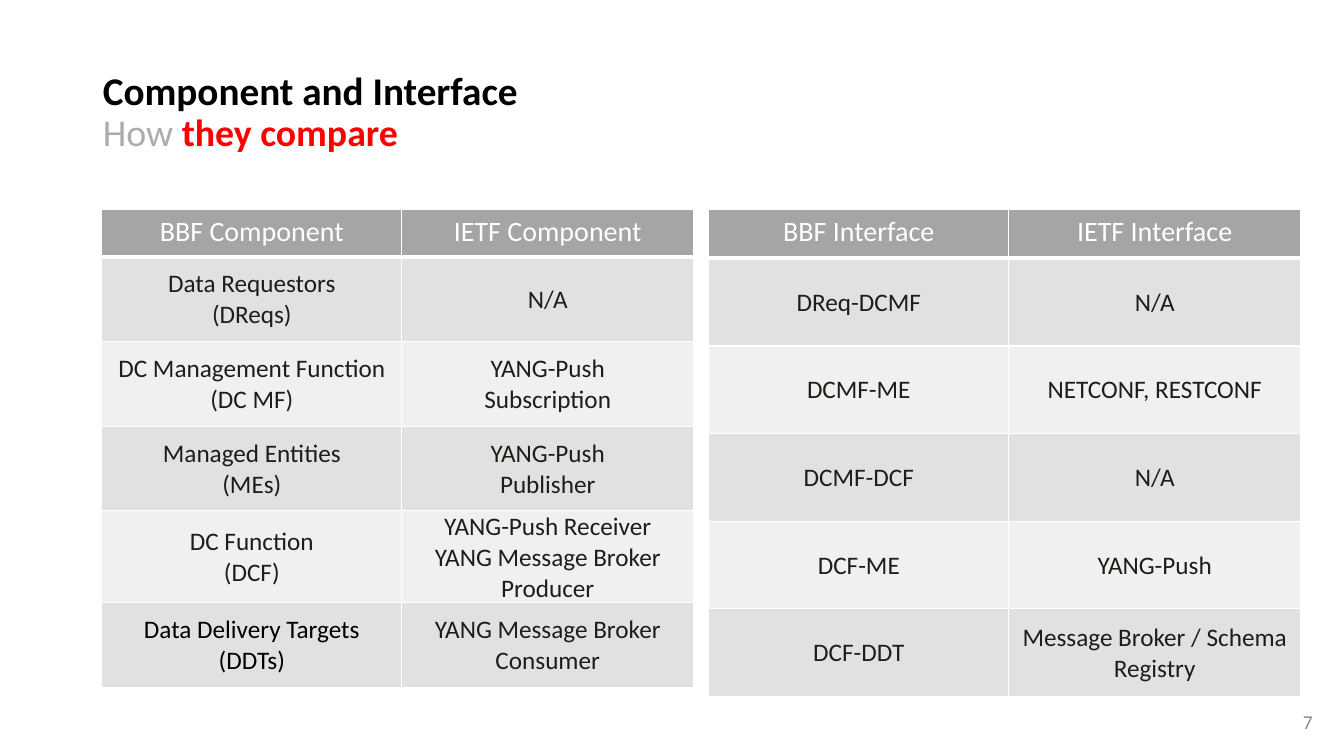
from lxml import etree
from pptx import Presentation
from pptx.dml.color import RGBColor
from pptx.enum.text import MSO_ANCHOR, MSO_AUTO_SIZE, PP_ALIGN
from pptx.oxml.ns import qn
from pptx.util import Inches, Pt

LEFT, CENTER, RIGHT = PP_ALIGN.LEFT, PP_ALIGN.CENTER, PP_ALIGN.RIGHT
MIDDLE, TOP = MSO_ANCHOR.MIDDLE, MSO_ANCHOR.TOP
NO_FIT = MSO_AUTO_SIZE.NONE

FONT = "Calibri"
HEADER_FILL = "A5A5A5"
BAND_FILLS = ("E1E1E1", "F0F0F0")
WHITE, BLACK, INK = "FFFFFF", "000000", "1D1D1A"
COL_SHARES = (0.507, 0.493)
HEADER_SHARE = 0.1
BODY_MARGINS = {"margin_left": 0.01, "margin_right": 0.01,
                "margin_top": 0.01, "margin_bottom": 0}

COMPONENTS = [
    ("BBF Component", "IETF Component"),
    ("Data Requestors\n(DReqs)", "N/A"),
    ("DC Management Function (DC MF)", "YANG-Push\nSubscription"),
    ("Managed Entities\n(MEs)", "YANG-Push\nPublisher"),
    ("DC Function\n(DCF)", "YANG-Push Receiver\nYANG Message Broker Producer"),
    ("Data Delivery Targets\n(DDTs)", "YANG Message Broker Consumer"),
]
INTERFACES = [
    ("BBF Interface", "IETF Interface"),
    ("DReq-DCMF", "N/A"),
    ("DCMF-ME", "NETCONF, RESTCONF"),
    ("DCMF-DCF", "N/A"),
    ("DCF-ME", "YANG-Push"),
    ("DCF-DDT", "Message Broker / Schema Registry"),
]


def rgb(value):
    return RGBColor.from_string(value)


def format_run(r, size, color, bold=False):
    for name, value in {"name": FONT, "size": Pt(size), "bold": bold}.items():
        setattr(r.font, name, value)
    r.font.color.rgb = rgb(color)


def place(sp, box):
    for name, value in zip(("left", "top", "width", "height"), box):
        setattr(sp, name, Inches(value))


def add_title(slide, box):
    sp = slide.shapes.title
    place(sp, box)
    tf = sp.text_frame
    tf.auto_size, tf.vertical_anchor = NO_FIT, MIDDLE
    p = tf.paragraphs[0]
    p.alignment, p.line_spacing = LEFT, 0.9
    r = p.add_run()
    r.text = "Component and Interface"
    format_run(r, 28, BLACK, True)
    p.add_line_break()
    etree.SubElement(p._p.find(qn("a:br")), qn("a:rPr"), sz="2800")
    for text, color, bold in (("How ", "AFABAB", False),
                              ("they compare", "FF0000", True)):
        r = p.add_run()
        r.text = text
        format_run(r, 27, color, bold)


def add_page_number(slide, box, number):
    tf = slide.shapes.add_textbox(*map(Inches, box)).text_frame
    tf.word_wrap, tf.vertical_anchor = True, MIDDLE
    p = tf.paragraphs[0]
    p.alignment = RIGHT
    r = p.add_run()
    r.text = number
    format_run(r, 14, "8C8C8C")


def set_borders(cell, widths):
    tcPr = cell._tc.get_or_add_tcPr()
    for side, width in widths.items():
        ln = etree.SubElement(tcPr, qn(f"a:ln{side}"), w=str(Pt(width)))
        fill = etree.SubElement(ln, qn("a:solidFill"))
        etree.SubElement(fill, qn("a:srgbClr"), val=WHITE)


def fill_cell(cell, text, row, color):
    header = row == 0
    set_borders(cell, {"L": 1, "R": 1, "T": 3 if row == 1 else 1,
                       "B": 3 if header else 1})
    cell.fill.solid()
    cell.fill.fore_color.rgb = rgb(HEADER_FILL if header
                                   else BAND_FILLS[(row - 1) % 2])
    cell.vertical_anchor = TOP if header else MIDDLE
    if not header:
        for name, value in BODY_MARGINS.items():
            setattr(cell, name, Inches(value))
    p = cell.text_frame.paragraphs[0]
    p.text = text
    p.alignment = CENTER
    for r in p.runs:
        format_run(r, 20 if header else 18, color)


def add_comparison(slide, box, rows, accents=()):
    width, height = box[2:]
    table = slide.shapes.add_table(len(rows), len(COL_SHARES),
                                   *map(Inches, box)).table
    for column, share in zip(table.columns, COL_SHARES):
        column.width = Inches(width * share)
    body_share = (1 - HEADER_SHARE) / (len(rows) - 1)
    for i, texts in enumerate(rows):
        share = body_share if i else HEADER_SHARE
        table.rows[i].height = Inches(height * share)
        for j, text in enumerate(texts):
            color = BLACK if text in accents else INK if i else WHITE
            fill_cell(table.cell(i, j), text, i, color)


def main():
    prs = Presentation()
    prs.slide_width, prs.slide_height = Inches(13.33), Inches(7.5)
    slide = prs.slides.add_slide(prs.slide_layouts[5])
    add_page_number(slide, (12.67, 6.96, 0.45, 0.4), "7")
    add_title(slide, (0.92, 0.4, 11.5, 1.45))
    add_comparison(slide, (1.01, 2.08, 5.87, 4.67), COMPONENTS,
                   accents=(COMPONENTS[-1][0],))
    add_comparison(slide, (7.03, 2.08, 5.87, 4.83), INTERFACES)
    prs.save("out.pptx")


if __name__ == "__main__":
    main()
